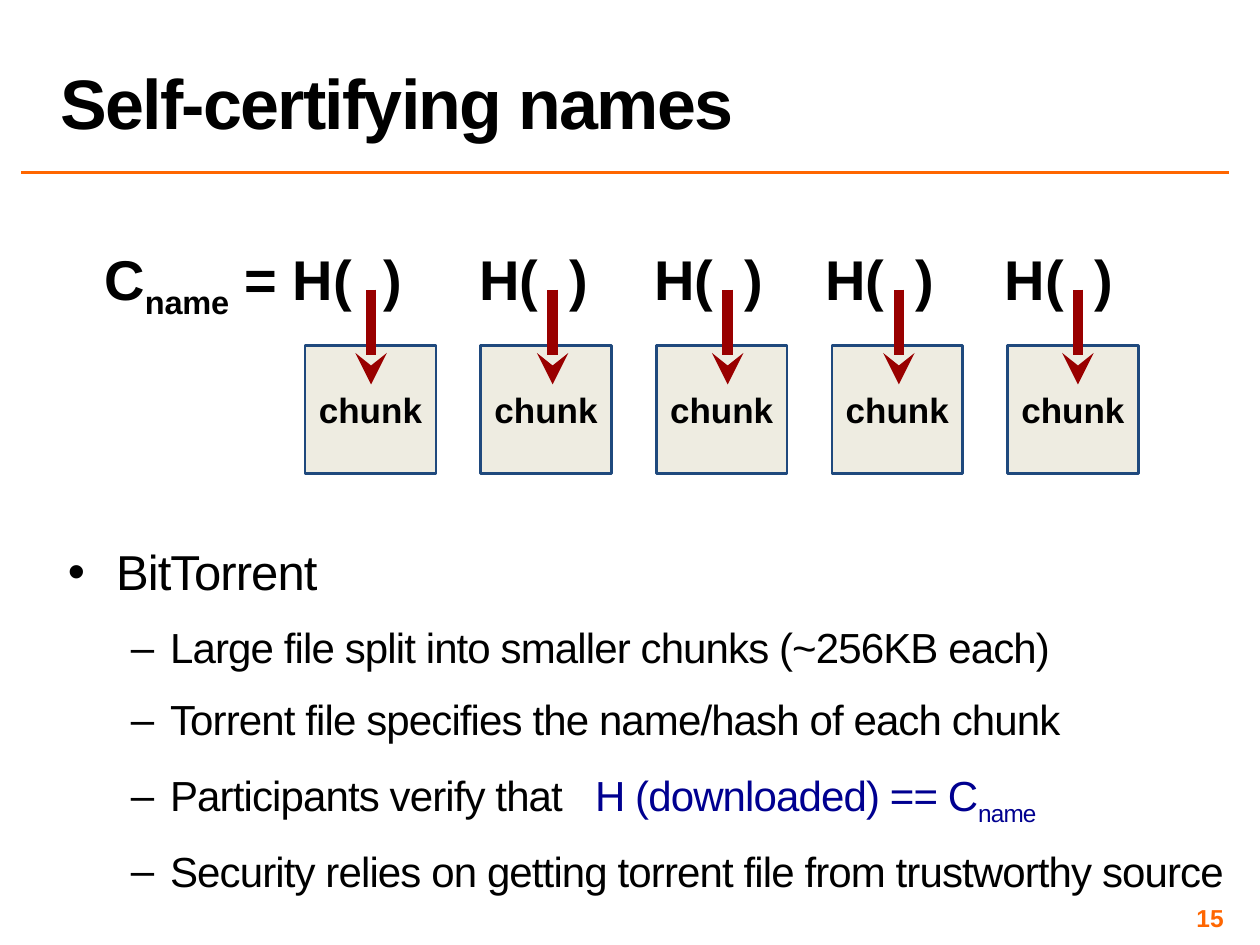
from lxml.etree import SubElement
from pptx import Presentation
from pptx.dml.color import RGBColor
from pptx.enum.shapes import MSO_CONNECTOR, MSO_SHAPE
from pptx.enum.text import MSO_ANCHOR, MSO_AUTO_SIZE, PP_ALIGN
from pptx.oxml.ns import qn
from pptx.util import Cm, Pt

BLACK, ORANGE, RED, NAVY = "000000", "FF6600", "990000", "000090"
CREAM, BLUE = "EEECE1", "1F497D"


def color(value):
    return RGBColor.from_string(value)


class SlideBuilder:
    font = "Arial"

    def __init__(self, slide):
        self.slide = slide

    def place(self, shape, left, top, width, height):
        shape.left, shape.top = Cm(left), Cm(top)
        shape.width, shape.height = Cm(width), Cm(height)

    def frame(self, shape, anchor, inset_x, inset_y):
        frame = shape.text_frame
        frame.word_wrap = True
        frame.auto_size = MSO_AUTO_SIZE.NONE
        frame.vertical_anchor = anchor
        frame.margin_left = frame.margin_right = Cm(inset_x)
        frame.margin_top = frame.margin_bottom = Cm(inset_y)
        return frame

    def style(self, paragraph, size, bold=False, ink=BLACK, align=PP_ALIGN.LEFT, tracking=0):
        paragraph.alignment = align
        font = paragraph.font
        font.name, font.size, font.bold = self.font, Pt(size), bold
        if ink:
            font.color.rgb = color(ink)
        if tracking:
            properties = paragraph._p.pPr.find(qn("a:defRPr"))
            properties.set("spc", str(round(tracking * 100)))

    def run(self, paragraph, text, ink=None, subscript=False, tracking=None):
        run = paragraph.add_run()
        run.text = text
        if ink:
            run.font.color.rgb = color(ink)
        properties = run._r.get_or_add_rPr()
        if subscript:
            properties.set("baseline", "-25000")
        if tracking is not None:
            properties.set("spc", str(round(tracking * 100)))

    def title(self, text):
        shape = self.slide.shapes.title
        self.place(shape, 0.97, 0.05, 24.43, 2.97)
        paragraph = self.frame(shape, MSO_ANCHOR.BOTTOM, 0.25, 0.13).paragraphs[0]
        paragraph.text = text
        paragraph.line_spacing = 0.8
        self.style(paragraph, 40, bold=True, tracking=-1)

    def bullets(self, items):
        shape = self.slide.placeholders[1]
        self.place(shape, 1.27, 10.82, 24.13, 7.62)
        frame = self.frame(shape, MSO_ANCHOR.TOP, 0.1, 0.1)
        for index, (level, pieces) in enumerate(items):
            paragraph = frame.add_paragraph() if index else frame.paragraphs[0]
            paragraph.level = level
            margin, hanging = ((0.97, 0.97), (2.06, 0.79))[level]
            properties = paragraph._p.get_or_add_pPr()
            properties.set("marL", str(Cm(margin)))
            properties.set("indent", str(-Cm(hanging)))
            paragraph.space_before = Pt(8 if index else 0)
            paragraph.space_after = Pt(6)
            paragraph.line_spacing = 0.95 if level else 1.0
            self.style(paragraph, 24 if level else 28, tracking=-0.5)
            for piece in pieces:
                self.run(paragraph, **piece)

    def text(self, left, top, width, height, pieces, size, ink=BLACK,
             align=PP_ALIGN.CENTER, anchor=MSO_ANCHOR.TOP, inset=0.25):
        shape = self.slide.shapes.add_textbox(Cm(left), Cm(top), Cm(width), Cm(height))
        paragraph = self.frame(shape, anchor, inset, inset).paragraphs[0]
        self.style(paragraph, size, bold=True, ink=ink, align=align)
        for piece in pieces:
            self.run(paragraph, **piece)

    def box(self, left, top, width, height, label):
        shape = self.slide.shapes.add_shape(
            MSO_SHAPE.RECTANGLE, Cm(left), Cm(top), Cm(width), Cm(height))
        shape.shadow.inherit = False
        shape.fill.solid()
        shape.fill.fore_color.rgb = color(CREAM)
        shape.line.color.rgb = color(BLUE)
        shape.line.width = Pt(1.5)
        paragraph = self.frame(shape, MSO_ANCHOR.MIDDLE, 0.25, 0.25).paragraphs[0]
        paragraph.text = label
        self.style(paragraph, 20, bold=True, align=PP_ALIGN.CENTER)
        paragraph.runs[0].font.color.rgb = color(BLACK)

    def line(self, x1, y1, x2, y2, ink, weight, arrow=False):
        connector = self.slide.shapes.add_connector(
            MSO_CONNECTOR.STRAIGHT, Cm(x1), Cm(y1), Cm(x2), Cm(y2))
        connector.line.color.rgb = color(ink)
        connector.line.width = Pt(weight)
        if arrow:
            SubElement(connector.line._get_or_add_ln(), qn("a:tailEnd"), type="stealth")
        SubElement(connector._element.spPr, qn("a:effectLst"))


def main():
    deck = Presentation()
    deck.slide_width, deck.slide_height = Cm(25.4), Cm(19.05)
    builder = SlideBuilder(deck.slides.add_slide(deck.slide_layouts[1]))

    builder.line(0.43, 3.48, 24.77, 3.48, ORANGE, 2)
    builder.text(18.85, 18.21, 5.92, 0.58, [dict(text="15")], 14, ink=ORANGE,
                 align=PP_ALIGN.RIGHT, anchor=MSO_ANCHOR.MIDDLE, inset=0.1)
    builder.title("Self-certifying names")
    builder.bullets([
        (0, [dict(text="BitTorrent")]),
        (1, [dict(text="Large file split into smaller chunks (~256KB each)")]),
        (1, [dict(text="Torrent file specifies the name/hash of each chunk")]),
        (1, [dict(text="Participants verify that"),
             dict(text=" ", tracking=11.8),
             dict(text="H (downloaded) == C", ink=NAVY),
             dict(text="name", ink=NAVY, subscript=True)]),
        (1, [dict(text="Security relies on getting torrent file from trustworthy source")]),
    ])

    for index in range(5):
        builder.box(6.15 + 3.54 * index, 6.96, 2.64, 2.59, "chunk")

    chunk_name = [dict(text="C"), dict(text="name", subscript=True), dict(text=" = ")]
    hash_call = [dict(text="H("), dict(text=" ", tracking=8.9), dict(text=")")]
    formulas = [(1.27, 7.67, chunk_name + hash_call)]
    formulas += [(left, 3.68, hash_call) for left in (8.92, 12.45, 15.9, 19.51)]
    for left, width, pieces in formulas:
        arrow_x = left + width - 1.46
        builder.text(left, 4.67, width, 1.27, pieces, 32)
        builder.line(arrow_x, 5.84, arrow_x, 7.75, RED, 6, arrow=True)

    deck.save("out.pptx")


if __name__ == "__main__":
    main()
